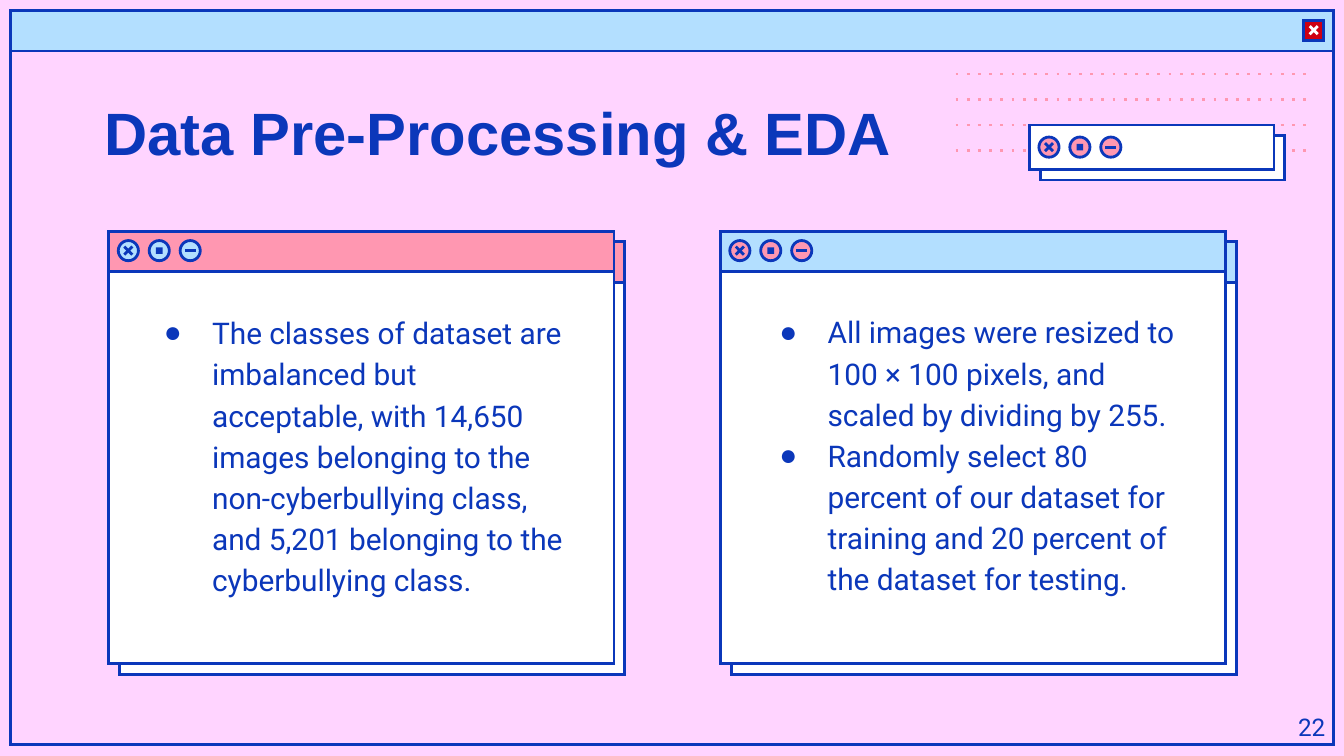
import pptx
import pptx.util
import pptx.dml.color
import pptx.enum.shapes
import pptx.enum.text
import pptx.oxml
import pptx.oxml.ns

Inches, Pt = pptx.util.Inches, pptx.util.Pt
RGBColor = pptx.dml.color.RGBColor
Kind = pptx.enum.shapes.MSO_SHAPE
Anchor = pptx.enum.text.MSO_ANCHOR
Align = pptx.enum.text.PP_ALIGN
qn = pptx.oxml.ns.qn

BLUE = RGBColor(0x0B, 0x37, 0xBA)
SKY = RGBColor(0xB3, 0xDF, 0xFF)
ROSE = RGBColor(0xFF, 0x97, 0xB1)
PINK = RGBColor(0xFF, 0xD4, 0xFF)
RED = RGBColor(0xCF, 0x00, 0x11)
WHITE = RGBColor(0xFF, 0xFF, 0xFF)

BAR = 0.3     # header height
DOT = 0.15    # button diameter
STEP = 0.23   # button pitch
DROP = 0.08   # offset of the back panel


def add_tag(parent, tag, **attrs):
    node = pptx.oxml.parse_xml(
        '<a:%s xmlns:a="http://schemas.openxmlformats.org/drawingml/2006/main"/>' % tag)
    for key, val in attrs.items():
        node.set(key, val)
    parent.append(node)
    return node


def add_box(slide, x, y, w, h, fill=None, line=BLUE, kind=Kind.RECTANGLE):
    shape = slide.shapes.add_shape(kind, Inches(x), Inches(y), Inches(w), Inches(h))
    shape.shadow.inherit = False
    if fill is None:
        shape.fill.background()
    else:
        shape.fill.solid()
        shape.fill.fore_color.rgb = fill
    if line is None:
        shape.line.fill.background()
    else:
        shape.line.color.rgb = line
        shape.line.width = Pt(1.5)
        add_tag(shape._element.spPr.find(qn("a:ln")), "miter", lim="800000")


def add_line(slide, x1, y1, x2, y2, color=BLUE, dash=None):
    line = slide.shapes.add_connector(
        pptx.enum.shapes.MSO_CONNECTOR.STRAIGHT,
        Inches(x1), Inches(y1), Inches(x2), Inches(y2))
    line.line.color.rgb = color
    line.line.width = Pt(1.5)
    props = line._element.spPr
    if dash:
        add_tag(props.find(qn("a:ln")), "prstDash", val=dash)
    add_tag(props, "effectLst")


def add_text(slide, x, y, w, h, paras, size=16, font="Roboto", bold=False,
             align=Align.LEFT, anchor=Anchor.MIDDLE, space=1.0, bullet=None):
    box = slide.shapes.add_textbox(Inches(x), Inches(y), Inches(w), Inches(h))
    frame = box.text_frame
    frame.word_wrap = True
    frame.vertical_anchor = anchor
    frame.margin_left = frame.margin_right = Inches(0.1)
    frame.margin_top = frame.margin_bottom = Inches(0.1)
    for i, words in enumerate(paras):
        para = frame.add_paragraph() if i else frame.paragraphs[0]
        para.alignment = align
        para.line_spacing = space
        run = para.add_run()
        run.text = words
        run.font.size = Pt(size)
        run.font.name = font
        run.font.bold = bold
        run.font.color.rgb = BLUE
        if bullet:
            props = para._p.get_or_add_pPr()
            props.set("marL", str(Inches(0.5)))
            props.set("indent", str(-Inches(0.36)))
            add_tag(add_tag(props, "buClr"), "srgbClr", val=str(BLUE))
            add_tag(props, "buFont", typeface="Arial")
            add_tag(props, "buChar", char=bullet)


def add_cross(slide, x, y, color=BLUE, r=0.03):
    add_line(slide, x - r, y - r, x + r, y + r, color)
    add_line(slide, x - r, y + r, x + r, y - r, color)


def add_keys(slide, x, y, fill):
    """Close, restore and minimise buttons in a row."""
    for i in range(3):
        add_box(slide, x + i * STEP, y, DOT, DOT, fill, kind=Kind.OVAL)
    mid = x + DOT / 2
    y += DOT / 2
    add_cross(slide, mid, y)
    side = 0.05
    add_box(slide, mid + STEP - side / 2, y - side / 2, side, side, BLUE, None)
    mid += 2 * STEP
    add_line(slide, mid - 0.04, y, mid + 0.04, y)


def add_frame(slide, x, y, w, h):
    """Outer window with title bar and close button."""
    add_box(slide, x, y, w, h)
    add_box(slide, x, y, w, BAR, SKY)
    left, top = x + w - 0.22, y + 0.07
    add_box(slide, left, top, DOT, DOT, RED)
    add_cross(slide, left + DOT / 2, top + DOT / 2, WHITE)


def add_dots(slide, x, y, w, gap, count):
    """Dotted rows."""
    for i in range(count):
        add_line(slide, x, y + i * gap, x + w, y + i * gap, ROSE, "dot")


def add_card(slide, x, y, w, h, bar, key):
    """Window with a header and a back panel."""
    for off in (DROP, 0):
        add_box(slide, x + off, y + off, w, h, WHITE)
        add_box(slide, x + off, y + off, w, BAR, bar)
    add_keys(slide, x + 0.07, y + 0.07, key)


def add_badge(slide, x, y, w, h):
    """Small blank window beside the title."""
    for off in (DROP, 0):
        add_box(slide, x + off, y + off, w, h, WHITE)
    add_keys(slide, x + 0.07, y + 0.09, ROSE)


def main():
    deck = pptx.Presentation()
    deck.slide_width = Inches(10)
    deck.slide_height = Inches(10 * 9 / 16)
    slide = deck.slides.add_slide(deck.slide_layouts[6])
    slide.background.fill.solid()
    slide.background.fill.fore_color.rgb = PINK

    # Window and backdrop
    add_frame(slide, 0.08, 0.08, 9.84, 5.46)
    add_dots(slide, 7.11, 0.55, 2.65, 0.19, 4)

    # Cards
    add_card(slide, 0.81, 1.72, 3.76, 3.22, ROSE, SKY)
    add_card(slide, 5.36, 1.72, 3.76, 3.22, SKY, ROSE)
    add_text(slide, 0.98, 2.27, 3.35, 2.21, [
        "The classes of dataset are imbalanced but acceptable, with 14,650 images "
        "belonging to the non-cyberbullying class, and 5,201 belonging to the "
        "cyberbullying class."], space=1.15, bullet="●")
    add_text(slide, 5.56, 2.22, 3.43, 2.3, [
        "All images were resized to 100 × 100 pixels, and scaled by dividing by 255.",
        "Randomly select 80 percent of our dataset for training and 20 percent of "
        "the dataset for testing."], space=1.15, bullet="●")

    # Title, badge and page number
    add_text(slide, 0.68, 0.61, 6.99, 0.65, ["Data Pre-Processing & EDA"],
             size=32, font="Arial", bold=True, anchor=Anchor.TOP)
    add_badge(slide, 7.66, 0.93, 1.82, 0.33)
    add_text(slide, 9.36, 5.19, 0.6, 0.43, ["22"], size=13, align=Align.RIGHT)

    deck.save("out.pptx")


if __name__ == "__main__":
    main()
